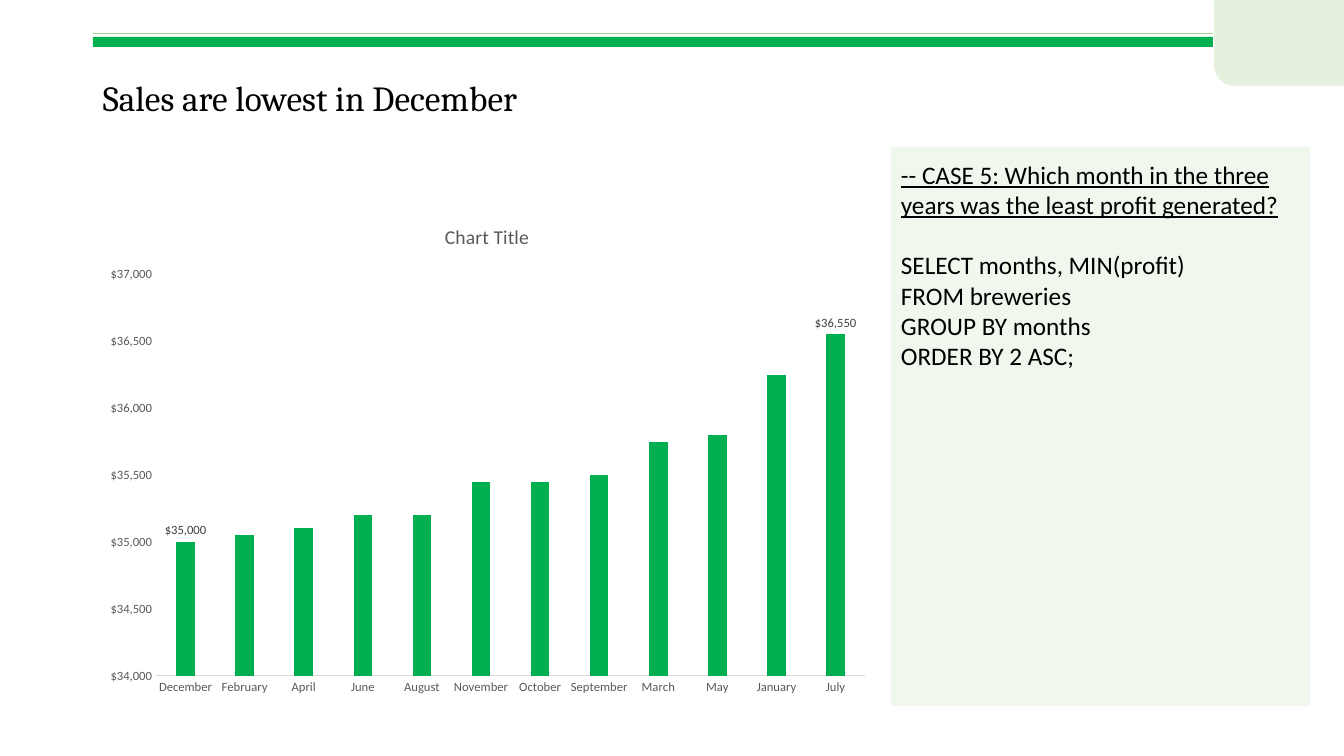
from lxml import etree
from pptx import Presentation
from pptx import util as u
from pptx.chart.data import CategoryChartData
from pptx.dml.color import RGBColor
from pptx.enum import chart as charts, shapes, text
from pptx.oxml import parse_xml
from pptx.oxml.ns import nsdecls, qn

EMU_PER_PIXEL = 914400 / 100.8
GREEN, PALE_GREEN = "00B050", "C5E0B4"
DOLLARS = '"$"#,##0'
PROFITS = {
    "December": 35000, "February": 35050, "April": 35100, "June": 35200,
    "August": 35200, "November": 35450, "October": 35450, "September": 35500,
    "March": 35750, "May": 35800, "January": 36250, "July": 36550,
}
QUESTION = "-- CASE 5: Which month in the three years was the least profit generated?"
QUERY = ["SELECT months, MIN(profit)", "FROM breweries",
         "GROUP BY months", "ORDER BY 2 ASC;"]


def px(*lengths):
    return [u.Emu(round(length * EMU_PER_PIXEL)) for length in lengths]


def color(hex_string):
    return RGBColor.from_string(hex_string)


def style_font(font, name, size, hex_string):
    font.name, font.size, font.bold = name, u.Pt(size), False
    font.color.rgb = color(hex_string)


def add_block(slide, box, fill, opacity=100, preset=shapes.MSO_SHAPE.RECTANGLE):
    shape = slide.shapes.add_shape(preset, *px(*box))
    shape.shadow.inherit = False
    shape.line.fill.background()
    shape.fill.solid()
    shape.fill.fore_color.rgb = color(fill)
    if opacity < 100:
        fill_color = shape._element.spPr.find(qn("a:solidFill"))[0]
        etree.SubElement(fill_color, qn("a:alpha"), val=str(opacity * 1000))
    return shape


def add_text(slide, box, lines, font_name, size):
    text_frame = slide.shapes.add_textbox(*px(*box)).text_frame
    text_frame.word_wrap = True
    text_frame.text = "\n".join(lines)
    for paragraph in text_frame.paragraphs:
        style_font(paragraph.runs[0].font, font_name, size, "000000")
    return text_frame


def add_header(slide, left, top, width, height):
    # Thin and thick rules
    add_block(slide, (left, top + 37, width - 131, 10), GREEN)
    add_block(slide, (left, top + 33, width - 131, 1), "A9D18E")
    # Corner tab with its lower left corner rounded
    tab = add_block(slide, (left + width - 130, top, 130, 86), PALE_GREEN, 43,
                    shapes.MSO_SHAPE.ROUND_1_RECTANGLE)
    tab.adjustments[0] = 0.24
    tab.rotation = 180
    # Title
    title = add_text(slide, (left, top + 75, 1075, height - 75),
                     ["Sales are lowest in December"], "Cambria", 25.2)
    title.vertical_anchor = text.MSO_ANCHOR.MIDDLE
    title.paragraphs[0].line_spacing = 0.9


def place_plot(chart, left, top, width, height):
    """Fix the inner plot area, in fractions of the chart."""
    plot_area = chart._chartSpace.chart.plotArea
    for layout in plot_area.findall(qn("c:layout")):
        plot_area.remove(layout)
    plot_area.insert(0, parse_xml(
        f'<c:layout {nsdecls("c")}><c:manualLayout><c:layoutTarget val="inner"/>'
        '<c:xMode val="edge"/><c:yMode val="edge"/>'
        f'<c:x val="{left}"/><c:y val="{top}"/><c:w val="{width}"/>'
        f'<c:h val="{height}"/></c:manualLayout></c:layout>'))


def add_profit_chart(slide, left, top, width, height):
    data = CategoryChartData(number_format=DOLLARS)
    data.categories = list(PROFITS)
    data.add_series("Series 1", list(PROFITS.values()))
    chart = slide.shapes.add_chart(charts.XL_CHART_TYPE.COLUMN_CLUSTERED,
                                   *px(left, top, width, height), data).chart
    style_font(chart.font, "Calibri", 10, "000000")
    chart.has_legend = False
    chart.has_title = True
    chart.chart_title.text_frame.text = "Chart Title"
    title_run = chart.chart_title.text_frame.paragraphs[0].runs[0]
    style_font(title_run.font, "Calibri", 14, "595959")
    place_plot(chart, 0.08, 0.14, 0.9, 0.8)

    # Axes
    months, dollars = chart.category_axis, chart.value_axis
    for axis in (months, dollars):
        axis.has_major_gridlines = False
        axis.major_tick_mark = axis.minor_tick_mark = charts.XL_TICK_MARK.NONE
        style_font(axis.tick_labels.font, "Calibri", 9, "595959")
    months.format.line.color.rgb = color("D9D9D9")
    months.format.line.width = u.Pt(0.75)
    dollars.format.line.fill.background()
    dollars.minimum_scale, dollars.maximum_scale = 34000, 37000
    dollars.major_unit = 500
    dollars.tick_labels.number_format = DOLLARS
    dollars.tick_labels.number_format_is_linked = False

    # Columns, with only the lowest and highest labelled
    plot = chart.plots[0]
    plot.vary_by_categories = False
    plot.gap_width, plot.overlap = 219, -27
    series = plot.series[0]
    series.format.fill.solid()
    series.format.fill.fore_color.rgb = color(GREEN)
    series.data_labels.show_value = False
    for index in (0, len(PROFITS) - 1):
        label = series.points[index].data_label
        style_font(label.font, "Calibri", 9, "404040")
        label.position = charts.XL_LABEL_POSITION.OUTSIDE_END


def add_query_panel(slide, left, top, width, height):
    add_block(slide, (left, top, width, height), PALE_GREEN, 25)
    text_frame = add_text(slide, (left, top + 7, width - 11, 224),
                          [QUESTION, *QUERY], "Calibri", 18)
    question = text_frame.paragraphs[0]
    question.runs[0].font.underline = True
    question.space_after = u.Pt(21.6)


presentation = Presentation()
presentation.slide_width, presentation.slide_height = px(1344, 756)
slide = presentation.slides.add_slide(presentation.slide_layouts[6])
add_header(slide, 93, 0, 1251, 125)
add_profit_chart(slide, 93, 204, 788, 502)
add_query_panel(slide, 891, 147, 419, 559)
presentation.save("out.pptx")
